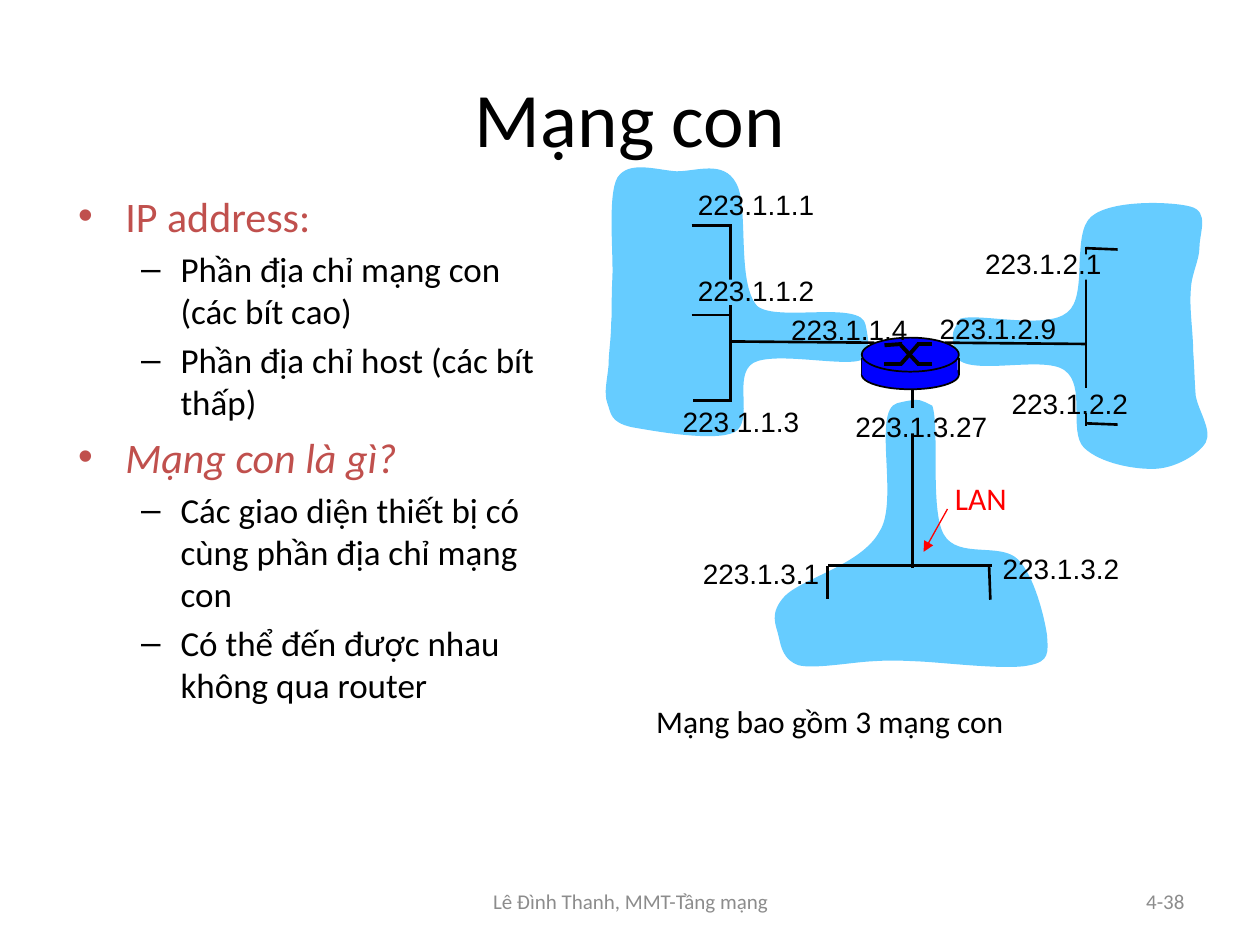
from typing import NamedTuple

import pptx
import pptx.dml.color
import pptx.enum.shapes
import pptx.enum.text
import pptx.oxml
import pptx.oxml.ns
import pptx.util
from pptx.util import Inches

COLORS = {"black": "000000", "white": "FFFFFF", "sky": "66CCFF", "blue": "0000FF",
          "red": "FF0000", "brick": "C0504D", "gray": "8C8C8C"}
ALIGN = pptx.enum.text.PP_ALIGN
ANCHOR = pptx.enum.text.MSO_ANCHOR
AUTO_SIZE = pptx.enum.text.MSO_AUTO_SIZE
SHAPE = pptx.enum.shapes.MSO_SHAPE
NAMESPACE = pptx.oxml.ns.nsdecls("a")


class Line(NamedTuple):
    x1: float
    y1: float
    x2: float
    y2: float
    width: float = 1.5
    color: str = "black"


class Box(NamedTuple):
    left: float
    top: float
    width: float
    height: float


class Label(NamedTuple):
    text: str
    box: Box
    size: int = 16
    font: str = "Arial"
    color: str = "black"


class Item(NamedTuple):
    text: str
    level: int = 1
    italic: bool = False


# Each outline: a start point, then cubic curves as (control, control, end)
SUBNET_OUTLINES = [
    [(6.87, 2.58),
     (6.84, 2.38, 6.17, 2.56, 6.01, 2.43), (5.84, 2.24, 5.95, 1.63, 5.84, 1.45),
     (5.74, 1.27, 5.53, 1.36, 5.37, 1.36), (5.21, 1.35, 4.99, 1.27, 4.9, 1.41),
     (4.82, 1.55, 4.87, 2.02, 4.86, 2.21), (4.85, 2.41, 4.86, 2.46, 4.85, 2.57),
     (4.85, 2.69, 4.83, 2.8, 4.83, 2.9), (4.82, 3.01, 4.79, 3.12, 4.82, 3.2),
     (4.85, 3.28, 4.84, 3.35, 5.01, 3.39), (5.18, 3.42, 5.67, 3.51, 5.83, 3.43),
     (5.99, 3.34, 5.81, 2.98, 5.98, 2.88), (6.15, 2.79, 6.68, 2.91, 6.83, 2.86),
     (6.89, 2.77, 6.91, 2.78, 6.87, 2.58)],
    [(7.58, 2.81),
     (7.63, 3.01, 8.28, 2.81, 8.45, 2.94), (8.62, 3.06, 8.48, 3.42, 8.6, 3.55),
     (8.73, 3.68, 9.02, 3.73, 9.18, 3.72), (9.34, 3.71, 9.52, 3.6, 9.57, 3.51),
     (9.62, 3.41, 9.51, 3.26, 9.49, 3.14), (9.48, 3.02, 9.48, 2.92, 9.47, 2.79),
     (9.47, 2.65, 9.44, 2.45, 9.45, 2.32), (9.45, 2.18, 9.52, 2.07, 9.52, 1.96),
     (9.52, 1.85, 9.6, 1.68, 9.45, 1.64), (9.31, 1.6, 8.82, 1.58, 8.66, 1.72),
     (8.5, 1.86, 8.64, 2.35, 8.47, 2.48), (8.3, 2.62, 7.76, 2.48, 7.62, 2.53),
     (7.57, 2.63, 7.54, 2.61, 7.58, 2.81)],
    [(7.12, 3.2),
     (6.92, 3.26, 7.14, 3.98, 6.98, 4.22), (6.84, 4.48, 6.37, 4.59, 6.23, 4.73),
     (6.1, 4.87, 6.16, 4.96, 6.18, 5.05), (6.2, 5.14, 6.22, 5.24, 6.34, 5.28),
     (6.46, 5.31, 6.74, 5.26, 6.9, 5.25), (7.06, 5.24, 7.09, 5.24, 7.3, 5.25),
     (7.51, 5.26, 8, 5.32, 8.17, 5.28), (8.33, 5.25, 8.32, 5.18, 8.31, 5.04),
     (8.29, 4.9, 8.21, 4.57, 8.08, 4.44), (7.94, 4.3, 7.6, 4.44, 7.49, 4.24),
     (7.38, 4.04, 7.46, 3.4, 7.4, 3.22), (7.31, 3.18, 7.32, 3.15, 7.12, 3.2)],
]
NETWORK_LINES = [
    # Left subnet
    Line(5.49, 1.79, 5.79, 1.79), Line(5.8, 1.78, 5.8, 3.19),
    Line(5.49, 2.5, 5.79, 2.5), Line(5.5, 3.18, 5.8, 3.18), Line(5.8, 2.71, 6.94, 2.72),
    # Right subnet
    Line(7.5, 2.72, 8.61, 2.73), Line(8.62, 1.96, 8.62, 3.38),
    Line(8.62, 1.97, 8.87, 1.98), Line(8.62, 3.36, 8.87, 3.37),
    # Lower subnet
    Line(7.24, 3.09, 7.24, 4.51), Line(7.87, 4.49, 6.57, 4.49),
    Line(6.57, 4.75, 6.57, 4.49), Line(7.86, 4.76, 7.85, 4.49),
]
ROUTER_SIDES = [Line(x, 2.84, x, 2.98, 1) for x in (6.84, 7.61)]
ROUTER_CROSS = [
    Line(7.02, 2.74, 7.16, 2.73, 2.25), Line(7.28, 2.89, 7.4, 2.89, 2.25),
    Line(7.15, 2.74, 7.29, 2.89, 2.25), Line(7.02, 2.89, 7.16, 2.89, 2.25),
    Line(7.28, 2.73, 7.4, 2.73, 2.25), Line(7.15, 2.89, 7.29, 2.73, 2.25),
]
LABEL_PATCHES = [
    (Box(5.54, 2.22, 0.34, 0.2), "sky"), (Box(8.56, 3.08, 0.19, 0.2), "sky"),
    (Box(8.57, 2.02, 0.27, 0.2), "sky"), (Box(5.3, 4.19, 0.93, 0.2), "white"),
    (Box(7.17, 3.24, 0.14, 0.2), "sky"),
]
ADDRESSES = [("223.1.1.1", 5.44, 1.44), ("223.1.1.2", 5.44, 2.12), ("223.1.1.3", 5.32, 3.16),
             ("223.1.1.4", 6.18, 2.43), ("223.1.2.9", 7.36, 2.42), ("223.1.2.2", 7.93, 3.02),
             ("223.1.2.1", 7.72, 1.91), ("223.1.3.2", 7.86, 4.33), ("223.1.3.1", 5.48, 4.37)]
LABELS = [Label(text, Box(left, top, 1.13, 0.37)) for text, left, top in ADDRESSES] + [
    Label("223.1.3.27", Box(6.69, 3.2, 1.25, 0.37)),
    Label("Mạng bao gồm 3 mạng con", Box(5.11, 5.52, 3.17, 0.4), 18, "Calibri"),
    Label("LAN", Box(7.48, 3.75, 0.72, 0.4), 18, "Calibri", "red"),
]
FOOTERS = [
    (Label("Lê Đình Thanh, MMT-Tầng mạng", Box(3.42, 6.95, 3.17, 0.4), 12, "Calibri", "gray"),
     ALIGN.CENTER),
    (Label("4-38", Box(7.17, 6.95, 2.33, 0.4), 12, "Calibri", "gray"), ALIGN.RIGHT),
]
BODY_ITEMS = [
    Item("IP address:", 0),
    Item("Phần địa chỉ mạng con (các bít cao)"),
    Item("Phần địa chỉ host (các bít thấp)"),
    Item("Mạng con là gì?", 0, True),
    Item("Các giao diện thiết bị có cùng phần địa chỉ mạng con"),
    Item("Có thể đến được nhau không qua router"),
]


def rgb(name: str) -> pptx.dml.color.RGBColor:
    return pptx.dml.color.RGBColor.from_string(COLORS[name])


def style_font(paragraph, size: float, name: str, color: str) -> None:
    paragraph.font.size = pptx.util.Pt(size)
    paragraph.font.name = name
    paragraph.font.color.rgb = rgb(color)


def place(shape, box: Box) -> None:
    shape.left, shape.top, shape.width, shape.height = map(Inches, box)


def fill_shape(shape, color: str, outlined: bool = False) -> None:
    shape.shadow.inherit = False
    shape.fill.solid()
    shape.fill.fore_color.rgb = rgb(color)
    if outlined:
        shape.line.color.rgb = rgb("black")
        shape.line.width = pptx.util.Pt(1)
    else:
        shape.line.fill.background()


def draw_shape(shapes, kind, box: Box, color: str, outlined: bool = False) -> None:
    fill_shape(shapes.add_shape(kind, *map(Inches, box)), color, outlined)


def draw_line(shapes, line: Line, arrow: bool = False) -> None:
    connector = shapes.add_connector(pptx.enum.shapes.MSO_CONNECTOR.STRAIGHT,
                                     *map(Inches, line[:4]))
    connector.line.color.rgb = rgb(line.color)
    connector.line.width = pptx.util.Pt(line.width)
    if arrow:
        tail = pptx.oxml.parse_xml(f'<a:tailEnd {NAMESPACE} type="triangle"/>')
        connector.line._get_or_add_ln().append(tail)
    connector._element.spPr.append(pptx.oxml.parse_xml(f"<a:effectLst {NAMESPACE}/>"))


def draw_outline(shapes, outline: list) -> None:
    """Draw a closed area, turning each segment between end points into a cubic curve."""
    start, *curves = outline
    builder = shapes.build_freeform(*map(Inches, start))
    builder.add_line_segments([tuple(map(Inches, curve[4:])) for curve in curves], close=True)
    shape = builder.convert_to_shape()
    segments = list(shape._element.iter(pptx.oxml.ns.qn("a:lnTo")))
    for segment, curve in zip(segments, curves):
        points = "".join(
            f'<a:pt x="{Inches(x) - shape.left}" y="{Inches(y) - shape.top}"/>'
            for x, y in zip(curve[::2], curve[1::2]))
        bezier = pptx.oxml.parse_xml(f"<a:cubicBezTo {NAMESPACE}>{points}</a:cubicBezTo>")
        segment.getparent().replace(segment, bezier)
    fill_shape(shape, "sky")


def draw_label(shapes, label: Label, align=ALIGN.LEFT, footer: bool = False) -> None:
    frame = shapes.add_textbox(*map(Inches, label.box)).text_frame
    frame.word_wrap = footer
    frame.auto_size = AUTO_SIZE.NONE if footer else AUTO_SIZE.SHAPE_TO_FIT_TEXT
    frame.vertical_anchor = ANCHOR.MIDDLE if footer else ANCHOR.TOP
    paragraph = frame.paragraphs[0]
    paragraph.text = label.text
    paragraph.alignment = align
    style_font(paragraph, label.size, label.font, label.color)


def draw_router(shapes) -> None:
    router = shapes.add_group_shape().shapes
    draw_shape(router, SHAPE.OVAL, Box(6.84, 2.86, 0.77, 0.23), "blue", True)
    for line in ROUTER_SIDES:
        draw_line(router, line)
    draw_shape(router, SHAPE.RECTANGLE, Box(6.84, 2.84, 0.76, 0.14), "blue")
    draw_shape(router, SHAPE.OVAL, Box(6.84, 2.68, 0.77, 0.27), "blue", True)
    for line in ROUTER_CROSS:
        draw_line(router, line)


def fill_placeholders(slide) -> None:
    title, body = slide.placeholders[0], slide.placeholders[1]
    place(title, Box(0.5, 0.3, 9, 1.25))
    title.text_frame.text = "Mạng con"
    style_font(title.text_frame.paragraphs[0], 44, "Calibri", "black")
    place(body, Box(0.52, 1.46, 4.04, 5.08))
    frame = body.text_frame
    frame.auto_size = AUTO_SIZE.NONE
    for index, item in enumerate(BODY_ITEMS):
        paragraph = frame.add_paragraph() if index else frame.paragraphs[0]
        paragraph.text = item.text
        paragraph.level = item.level
        if index == 0:
            paragraph.space_before = pptx.util.Pt(0)
        style_font(paragraph, *((20, "Calibri", "black") if item.level
                                else (24, "Calibri", "brick")))
        paragraph.font.italic = item.italic


def main() -> None:
    presentation = pptx.Presentation()
    presentation.slide_width, presentation.slide_height = Inches(10), Inches(7.5)
    slide = presentation.slides.add_slide(presentation.slide_layouts[1])
    shapes = slide.shapes
    # Subnets, links and router
    for outline in SUBNET_OUTLINES:
        draw_outline(shapes, outline)
    fill_placeholders(slide)
    for line in NETWORK_LINES:
        draw_line(shapes, line)
    draw_router(shapes)
    # Labels over patches that interrupt the links
    for box, color in LABEL_PATCHES:
        draw_shape(shapes, SHAPE.RECTANGLE, box, color)
    for label in LABELS:
        draw_label(shapes, label)
    draw_line(shapes, Line(7.52, 4.04, 7.33, 4.38, 0.75, "red"), arrow=True)
    for label, align in FOOTERS:
        draw_label(shapes, label, align, footer=True)
    presentation.save("out.pptx")


if __name__ == "__main__":
    main()
